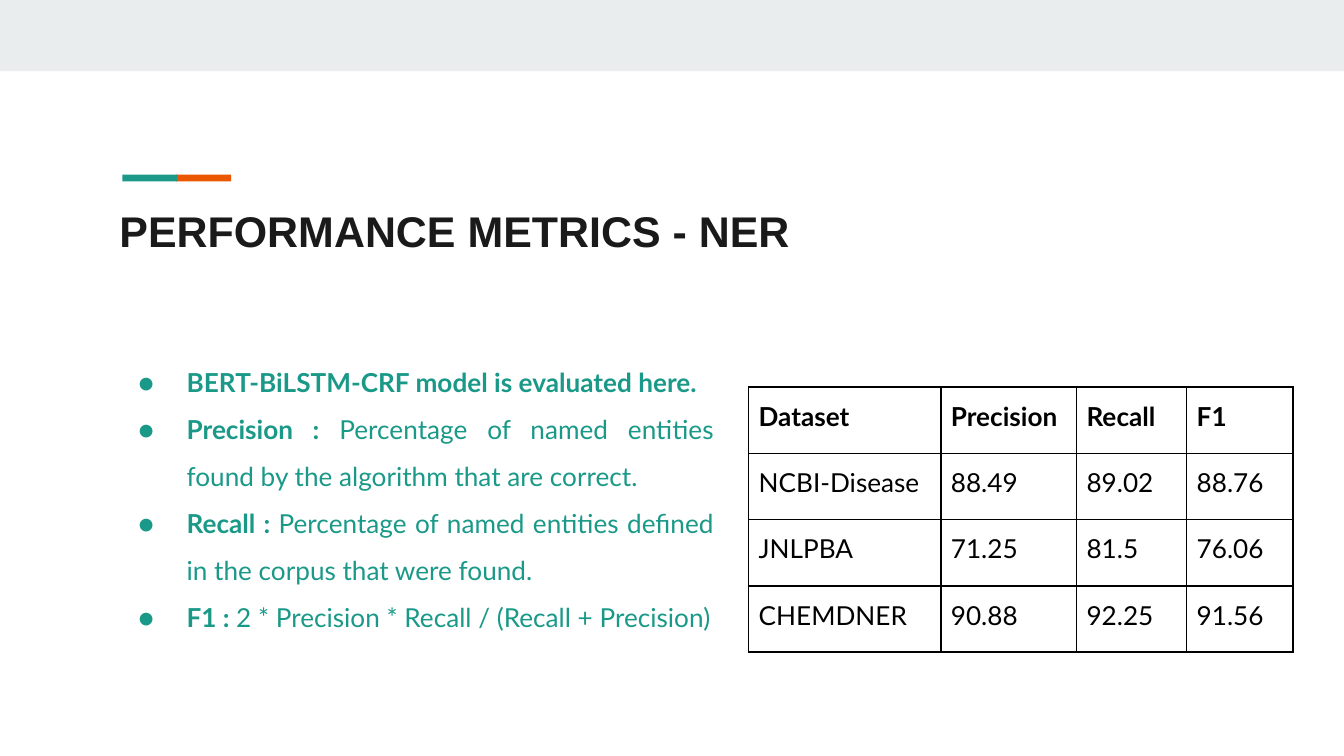
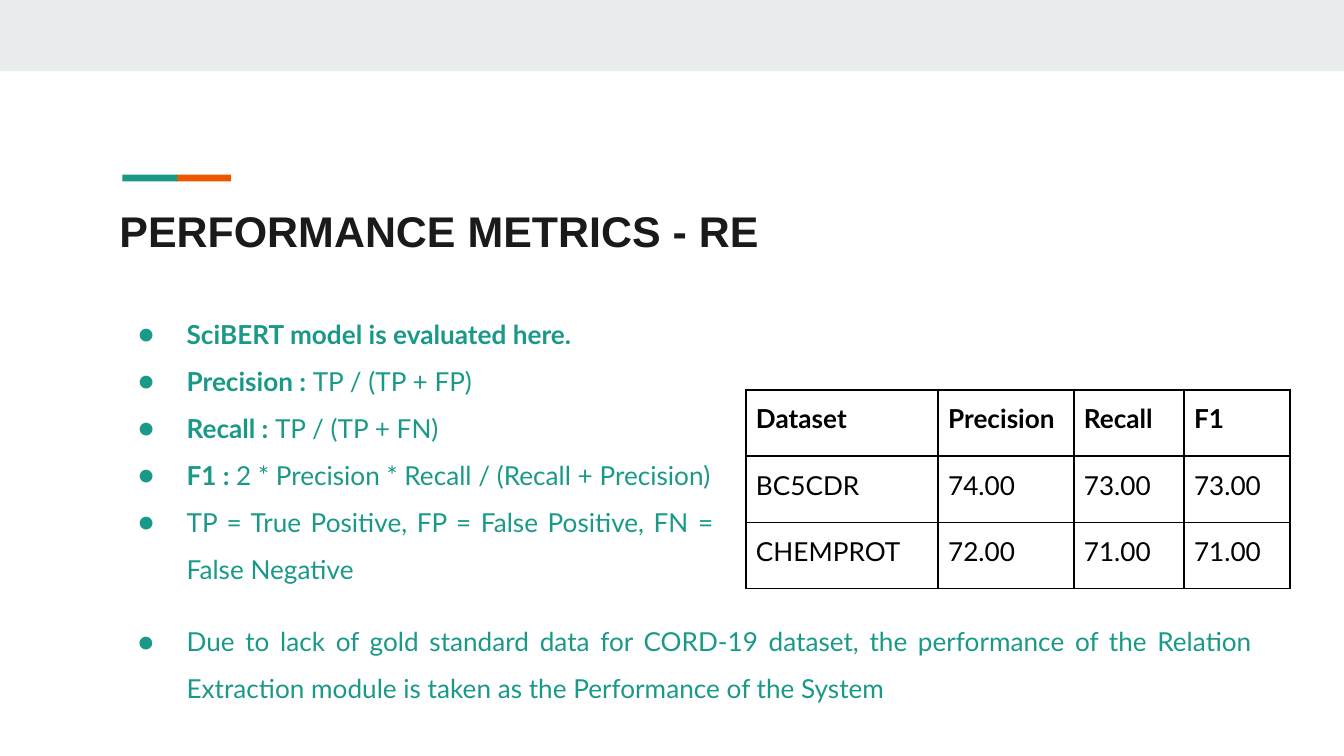
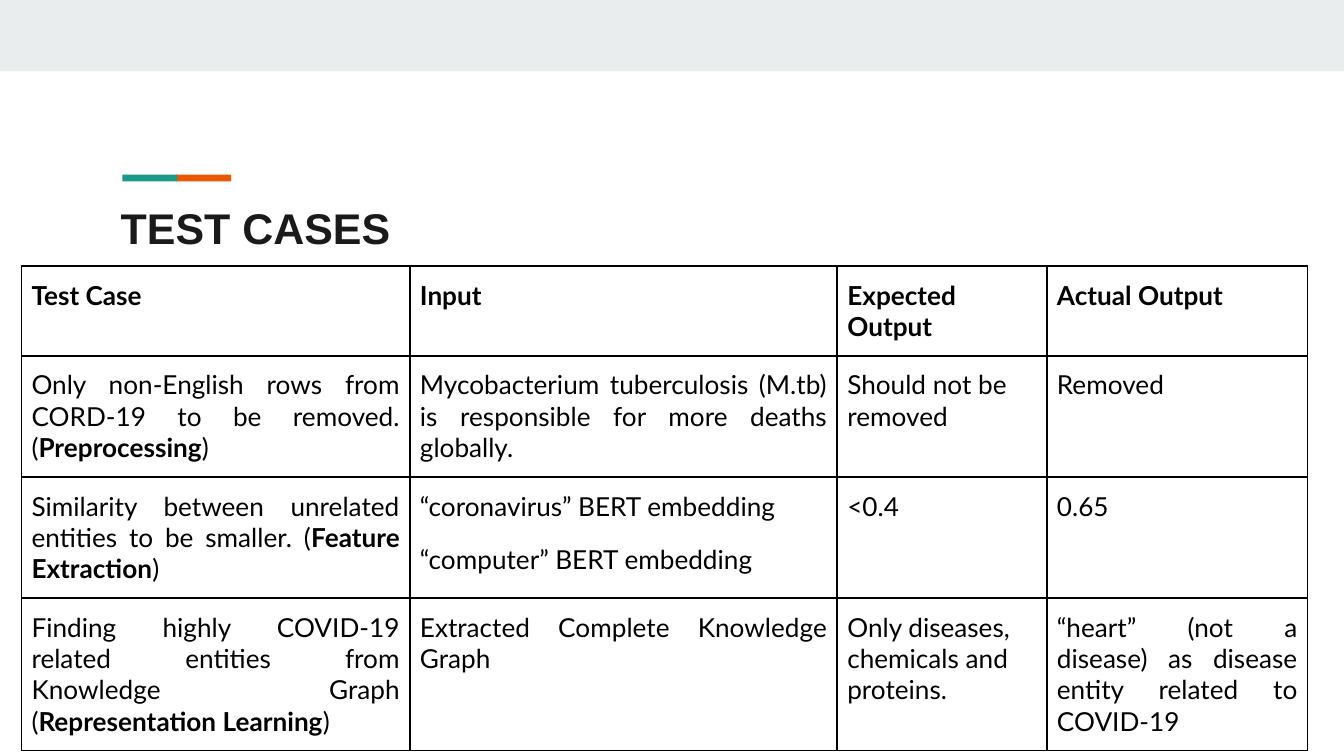
from dataclasses import dataclass

from lxml.etree import SubElement
from pptx import Presentation
from pptx.dml.color import RGBColor
from pptx.enum.shapes import MSO_SHAPE
from pptx.enum.text import MSO_ANCHOR, MSO_AUTO_SIZE, PP_ALIGN
from pptx.oxml import parse_xml
from pptx.oxml.ns import nsdecls, qn
from pptx.util import Inches, Pt


@dataclass(frozen=True)
class Theme:
    band: str = "E9EDEE"
    teal: str = "1A9988"
    orange: str = "EB5600"
    title: str = "1A1A1A"
    ink: str = "000000"
    title_font: str = "Arial"
    body_font: str = "Lato"
    title_size: int = 23
    body_size: int = 14
    border: int = 1
    paragraph_gap: int = 12
    cell_side_margin: float = 5.4


THEME = Theme()
METRIC_COLUMNS = [1.43, 1.01, 0.82, 0.79]
METRIC_HEADER = ["Dataset", "Precision", "Recall", "F1"]
METRIC_ROW = 1.48 / 3
F1_FORMULA = "**F1 : **2 * Precision * Recall / (Recall + Precision)"


# Text: words between double asterisks are bold
def write_paragraph(para, text, color, font=THEME.body_font, size=THEME.body_size):
    para.font.name = font
    para.font.size = Pt(size)
    para.font.color.rgb = RGBColor.from_string(color)
    for position, part in enumerate(text.split("**")):
        if part:
            span = para.add_run()
            span.text = part
            span.font.bold = position % 2 == 1


def set_bullet(para, color):
    properties = para._p.get_or_add_pPr()
    properties.set("marL", str(Inches(0.5)))
    properties.set("indent", str(Inches(-0.36)))
    bullet_color = SubElement(properties, qn("a:buClr"))
    SubElement(bullet_color, qn("a:srgbClr"), val=color)
    SubElement(properties, qn("a:buFont"), typeface=THEME.body_font)
    SubElement(properties, qn("a:buChar"), char="●")


def add_text_box(page, left, top, width, height, inset=0.1):
    box = page.shapes.add_textbox(
        Inches(left), Inches(top), Inches(width), Inches(height))
    frame = box.text_frame
    frame.word_wrap = True
    frame.margin_top = frame.margin_bottom = Inches(inset)
    return frame


def paragraphs_for(frame, texts):
    for position, text in enumerate(texts):
        yield frame.add_paragraph() if position else frame.paragraphs[0], text


def add_bullets(page, left, top, width, height, items, inset=0.1):
    frame = add_text_box(page, left, top, width, height, inset)
    for para, text in paragraphs_for(frame, items):
        para.alignment = PP_ALIGN.JUSTIFY
        para.line_spacing = 1.5
        para.space_before = Pt(0)
        set_bullet(para, THEME.teal)
        write_paragraph(para, text, THEME.teal)
    return frame


# Shared page parts
def add_bar(page, left, top, width, height, color):
    bar = page.shapes.add_shape(
        MSO_SHAPE.RECTANGLE, Inches(left), Inches(top), Inches(width), Inches(height))
    bar.shadow.inherit = False
    bar.fill.solid()
    bar.fill.fore_color.rgb = RGBColor.from_string(color)
    bar.line.fill.background()


def add_page(deck, title, title_left=0.79, title_top=1.42, title_height=0.59):
    page = deck.slides.add_slide(deck.slide_layouts[6])
    add_bar(page, 0, 0, 10, 0.53, THEME.band)
    add_bar(page, 1.31, 1.3, 0.41, 0.05, THEME.orange)
    add_bar(page, 0.91, 1.3, 0.41, 0.05, THEME.teal)
    frame = add_text_box(page, title_left, title_top, 8.41, title_height)
    frame.vertical_anchor = MSO_ANCHOR.MIDDLE
    write_paragraph(frame.paragraphs[0], f"**{title}**", THEME.title,
                    THEME.title_font, THEME.title_size)
    return page


# Tables
def set_borders(cell):
    properties = cell._tc.get_or_add_tcPr()
    for position, side in enumerate(("lnL", "lnR", "lnT", "lnB")):
        properties.insert(position, parse_xml(
            f'<a:{side} {nsdecls("a")} w="{Pt(THEME.border)}"><a:solidFill>'
            f'<a:srgbClr val="{THEME.ink}"/></a:solidFill></a:{side}>'))


def fill_cell(cell, text, alignment):
    cell.fill.background()
    set_borders(cell)
    cell.margin_left = cell.margin_right = Pt(THEME.cell_side_margin)
    cell.margin_top = cell.margin_bottom = Inches(0.1)
    for para, line in paragraphs_for(cell.text_frame, text.split("\n")):
        para.alignment = alignment
        para.space_before = Pt(THEME.paragraph_gap)
        write_paragraph(para, line, THEME.ink)


def add_grid(page, left, top, columns, heights, header, records, left_aligned=()):
    rows = [[f"**{name}**" for name in header], *records]
    table = page.shapes.add_table(
        len(rows), len(columns), Inches(left), Inches(top),
        Inches(sum(columns)), Inches(sum(heights))).table
    table.first_row = table.horz_banding = False
    for column, width in zip(table.columns, columns):
        column.width = Inches(width)
    for row, height in zip(table.rows, heights):
        row.height = Inches(height)
    for row_index, values in enumerate(rows):
        for column_index, text in enumerate(values):
            ragged = row_index > 0 and column_index in left_aligned
            fill_cell(table.cell(row_index, column_index), text,
                      PP_ALIGN.LEFT if ragged else PP_ALIGN.JUSTIFY)


def add_metrics(page, left, top, records):
    heights = [METRIC_ROW] * (len(records) + 1)
    add_grid(page, left, top, METRIC_COLUMNS, heights, METRIC_HEADER, records)


# Slides
def add_ner_page(deck):
    page = add_page(deck, "PERFORMANCE METRICS - NER")
    add_bullets(page, 0.79, 2.51, 4.62, 2.57, [
        "**BERT-BiLSTM-CRF model is evaluated here.**",
        "**Precision : **Percentage of named entities found by the algorithm "
        "that are correct.",
        "**Recall : **Percentage of named entities defined in the corpus "
        "that were found.",
        F1_FORMULA,
    ])
    add_metrics(page, 5.57, 2.88, [
        ["NCBI-Disease", "88.49", "89.02", "88.76"],
        ["JNLPBA", "71.25", "81.5", "76.06"],
        ["CHEMDNER", "90.88", "92.25", "91.56"],
    ])


def add_re_page(deck):
    page = add_page(deck, "PERFORMANCE METRICS - RE")
    add_bullets(page, 0.79, 2.15, 4.62, 2.57, [
        "**SciBERT model is evaluated here.**",
        "**Precision : **TP / (TP + FP)",
        "**Recall : **TP / (TP + FN)",
        F1_FORMULA,
        "TP = True Positive, FP = False Positive, FN = False Negative",
    ])
    add_metrics(page, 5.55, 2.9, [
        ["BC5CDR", "74.00", "73.00", "73.00"],
        ["CHEMPROT", "72.00", "71.00", "71.00"],
    ])
    note = add_bullets(page, 0.79, 4.49, 8.63, 0.76, [
        "Due to lack of gold standard data for CORD-19 dataset, the performance "
        "of the Relation Extraction module is taken as the Performance of the System",
    ], inset=0.05)
    note.auto_size = MSO_AUTO_SIZE.SHAPE_TO_FIT_TEXT


def add_test_page(deck):
    page = add_page(deck, "TEST CASES", 0.8, 1.4, 0.58)
    add_grid(
        page, 0.16, 1.98, [2.89, 3.18, 1.56, 1.94], [0.59, 0.71, 0.69, 0.87],
        ["Test Case", "Input", "Expected Output", "Actual Output"],
        [
            ["Only non-English rows from CORD-19 to be removed. (**Preprocessing**)",
             "Mycobacterium tuberculosis (M.tb) is responsible for more deaths globally.",
             "Should not be removed", "Removed"],
            ["Similarity between unrelated entities to be smaller. "
             "(**Feature Extraction**)",
             "“coronavirus” BERT embedding\n“computer” BERT embedding",
             "<0.4", "0.65"],
            ["Finding highly COVID-19 related entities from Knowledge Graph "
             "(**Representation Learning**)",
             "Extracted Complete Knowledge Graph",
             "Only diseases, chemicals and proteins.",
             "“heart” (not a disease) as disease entity related to COVID-19"],
        ],
        left_aligned=(2,))


def main():
    deck = Presentation()
    deck.slide_width = Inches(10)
    deck.slide_height = Inches(10) * 9 // 16
    add_ner_page(deck)
    add_re_page(deck)
    add_test_page(deck)
    deck.save("out.pptx")


if __name__ == "__main__":
    main()
